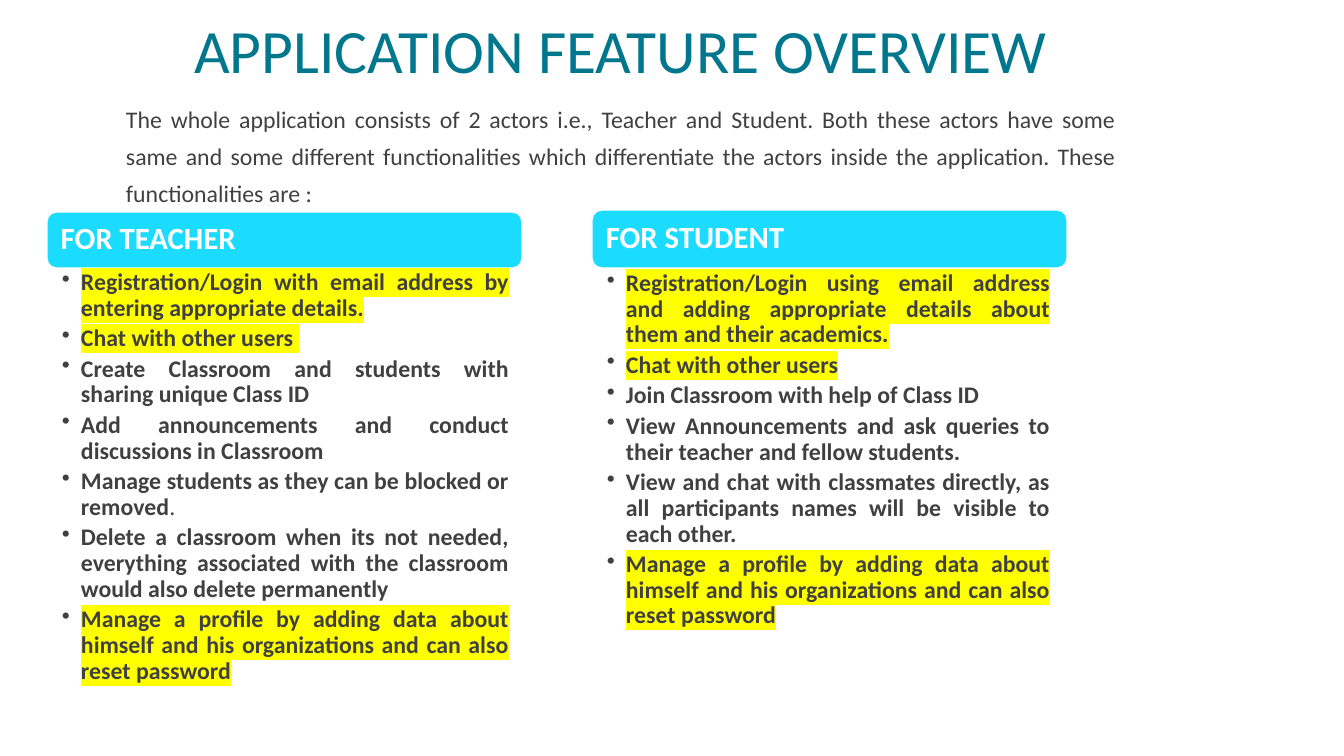
"""Build the application feature overview slide."""
from lxml import etree
from pptx import Presentation
from pptx.dml.color import RGBColor
from pptx.enum.shapes import MSO_SHAPE
from pptx.enum.text import MSO_ANCHOR, MSO_AUTO_SIZE, PP_ALIGN
from pptx.oxml.ns import qn
from pptx.util import Emu, Pt

ROUNDED = MSO_SHAPE.ROUNDED_RECTANGLE
TOP, MIDDLE, BOTTOM = MSO_ANCHOR.TOP, MSO_ANCHOR.MIDDLE, MSO_ANCHOR.BOTTOM
LEFT, CENTER, JUSTIFY = PP_ALIGN.LEFT, PP_ALIGN.CENTER, PP_ALIGN.JUSTIFY
NO_FIT = MSO_AUTO_SIZE.NONE

FONT = "Calibri"
TEAL, CYAN, GRAY, WHITE, YELLOW = "00778D", "1BDCFF", "404040", "FFFFFF", "FFFF00"
PIXELS_PER_INCH = 100.8
SLIDE_SIZE = (1344, 756)
BULLET_INDENT = 19

TITLE = "APPLICATION FEATURE OVERVIEW"
TITLE_BOX = (116, 0, 1010, 91)
INTRO = (
    "The whole application consists of 2 actors i.e., Teacher and Student. "
    "Both these actors have some same and some different functionalities which "
    "differentiate the actors inside the application. These functionalities are :"
)
INTRO_BOX = (116, 91, 1010, 121)
PROFILE = (
    "Manage a profile by adding data about himself and his organizations "
    "and can also reset password"
)

COLUMNS = [
    {
        "heading": "FOR TEACHER",
        "heading_box": (47, 212, 475, 56),
        "list_box": (47, 268, 475, 532),
        "insets": (15, 2, 13, 2),
        "features": [
            "Registration/Login with email address by entering appropriate details.",
            "Chat with other users ",
            "Create Classroom and students with sharing unique Class ID",
            "Add announcements and conduct discussions in Classroom",
            "Manage students as they can be blocked or removed.",
            "Delete a classroom when its not needed, everything associated with "
            "the classroom would also delete permanently",
            PROFILE,
        ],
        "shared": {0, 1, 6},
        "plain_endings": {4: "."},
    },
    {
        "heading": "FOR STUDENT",
        "heading_box": (592, 210, 475, 58),
        "list_box": (592, 268, 475, 382),
        "insets": (15, 3, 17, 3),
        "features": [
            "Registration/Login using email address and adding appropriate details "
            "about them and their academics.",
            "Chat with other users",
            "Join Classroom with help of Class ID",
            "View Announcements and ask queries to their teacher and fellow students.",
            "View and chat with classmates directly, as all participants names "
            "will be visible to each other.",
            PROFILE,
        ],
        "shared": {0, 1, 5},
        "plain_endings": {},
    },
]


def px(length):
    """Turn pixels into EMU."""
    return Emu(round(length * 914400 / PIXELS_PER_INCH))


def color(value):
    """Turn a hex string into a colour."""
    return RGBColor.from_string(value)


def apply(target, values):
    """Set attributes from a dict of format values."""
    for name, value in values.items():
        setattr(target, name, value)


def format_frame(frame, anchor, insets):
    """Set anchor, wrapping and insets of a text frame."""
    sides = ("margin_left", "margin_top", "margin_right", "margin_bottom")
    apply(frame, {"auto_size": NO_FIT, "word_wrap": True, "vertical_anchor": anchor})
    apply(frame, dict(zip(sides, map(px, insets))))


def add_run(paragraph, text, size, fill, bold=False, highlight=None):
    """Add a formatted run, optionally highlighted."""
    run = paragraph.add_run()
    run.text = text
    apply(run.font, {"size": Pt(size), "bold": bold, "name": FONT})
    run.font.color.rgb = color(fill)
    if highlight:
        mark = etree.Element(qn("a:highlight"))
        etree.SubElement(mark, qn("a:srgbClr"), val=highlight)
        run.font._element.find(qn("a:solidFill")).addnext(mark)


def format_paragraph(paragraph, alignment, line_spacing, space_after=0):
    """Set alignment and spacing of a paragraph."""
    apply(paragraph, {
        "alignment": alignment,
        "line_spacing": line_spacing,
        "space_before": Pt(0),
        "space_after": Pt(space_after),
    })


def add_bullet(paragraph):
    """Give a paragraph a hanging round bullet."""
    properties = paragraph._p.get_or_add_pPr()
    properties.set("marL", str(px(BULLET_INDENT)))
    properties.set("indent", str(-px(BULLET_INDENT)))
    etree.SubElement(properties, qn("a:buChar"), char="•")


def add_heading(slide, text, box):
    """Add a rounded heading bar."""
    shape = slide.shapes.add_shape(ROUNDED, *map(px, box))
    shape.shadow.inherit = False
    shape.fill.solid()
    shape.fill.fore_color.rgb = color(CYAN)
    shape.line.color.rgb = color(WHITE)
    shape.line.width = Pt(1)
    format_frame(shape.text_frame, MIDDLE, (11, 9, 9, 9))
    paragraph = shape.text_frame.paragraphs[0]
    format_paragraph(paragraph, LEFT, 0.9)
    add_run(paragraph, text, 22, WHITE, bold=True)


def add_features(slide, column):
    """Add the bulleted list of one column."""
    frame = slide.shapes.add_textbox(*map(px, column["list_box"])).text_frame
    format_frame(frame, TOP, column["insets"])
    for index, feature in enumerate(column["features"]):
        paragraph = frame.add_paragraph() if index else frame.paragraphs[0]
        format_paragraph(paragraph, JUSTIFY, 0.9, 3.4)
        add_bullet(paragraph)
        ending = column["plain_endings"].get(index, "")
        highlight = YELLOW if index in column["shared"] else None
        add_run(paragraph, feature.removesuffix(ending), 17, GRAY, True, highlight)
        if ending:
            add_run(paragraph, ending, 17, GRAY)


def main():
    """Build and save the presentation."""
    presentation = Presentation()
    presentation.slide_width, presentation.slide_height = map(px, SLIDE_SIZE)
    slide = presentation.slides.add_slide(presentation.slide_layouts[5])

    title = slide.shapes.title
    apply(title, dict(zip(("left", "top", "width", "height"), map(px, TITLE_BOX))))
    format_frame(title.text_frame, BOTTOM, (10, 5, 10, 5))
    paragraph = title.text_frame.paragraphs[0]
    format_paragraph(paragraph, CENTER, 0.85)
    add_run(paragraph, TITLE, 44, TEAL)

    frame = slide.shapes.add_textbox(*map(px, INTRO_BOX)).text_frame
    format_frame(frame, TOP, (10, 5, 10, 5))
    format_paragraph(frame.paragraphs[0], JUSTIFY, 1.3, 8)
    add_run(frame.paragraphs[0], INTRO, 17, GRAY)

    for column in COLUMNS:
        add_heading(slide, column["heading"], column["heading_box"])
        add_features(slide, column)

    presentation.save("out.pptx")


if __name__ == "__main__":
    main()
